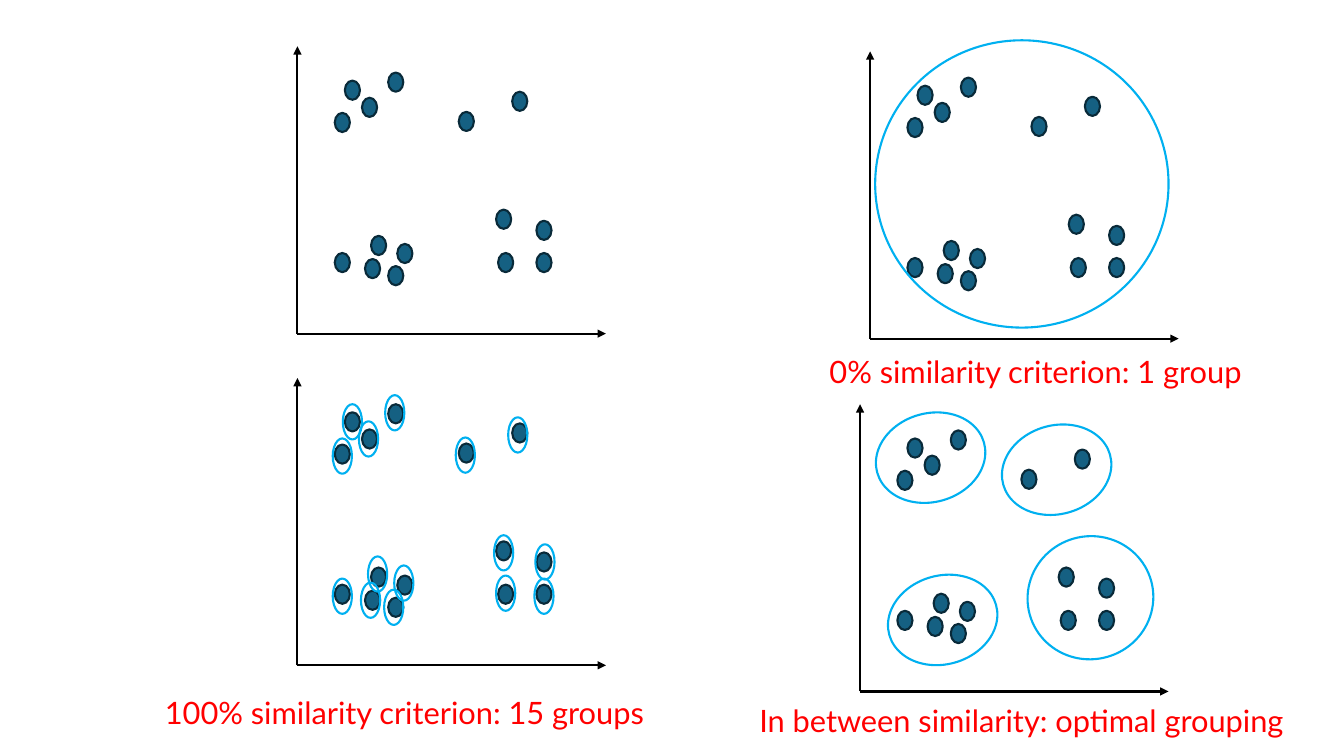
from dataclasses import dataclass

from lxml import etree
from pptx import Presentation
from pptx.dml.color import RGBColor
from pptx.enum.shapes import MSO_CONNECTOR, MSO_SHAPE
from pptx.enum.text import MSO_AUTO_SIZE, PP_ALIGN
from pptx.oxml.ns import qn
from pptx.util import Inches, Pt

STRAIGHT = MSO_CONNECTOR.STRAIGHT
OVAL = MSO_SHAPE.OVAL
CENTER = PP_ALIGN.CENTER
FIT_SHAPE = MSO_AUTO_SIZE.SHAPE_TO_FIT_TEXT

AXIS_WIDTH, AXIS_HEIGHT = 3.06, 2.85
DOT_SIZE = (0.15, 0.19)
RING_SIZE = (0.19, 0.35)
CLUSTER_SIZE = (1.1, 0.88)
CLUSTER_TURN = 344.2

PLOT_CORNERS = [(2.95, 0.46), (8.63, 0.51), (2.95, 3.75), (8.53, 4.01)]
DOT_OFFSETS = [
    (0.47, 0.34), (0.64, 0.51), (0.37, 0.66), (0.73, 1.88), (0.9, 2.18),
    (0.37, 2.05), (2.37, 2.05), (1.97, 1.62), (2.13, 0.45), (1.99, 2.05),
    (0.67, 2.11), (2.37, 1.73), (0.9, 0.26), (1.6, 0.65), (0.99, 1.96),
]
RING_CORNERS = [
    (3.4, 4.01), (3.56, 4.18), (3.82, 3.92), (3.3, 4.35), (4.52, 4.34),
    (5.04, 4.14), (3.65, 5.52), (3.81, 5.85), (3.91, 5.61), (3.58, 5.78),
    (3.3, 5.74), (4.92, 5.71), (4.9, 5.31), (5.3, 5.74), (5.31, 5.4),
]
CLUSTERS = [
    ((8.68, 4.1), CLUSTER_SIZE),
    ((9.93, 4.22), CLUSTER_SIZE),
    ((8.8, 5.71), CLUSTER_SIZE),
    ((10.19, 5.32), (1.25, 1.22)),
]
CAPTIONS = [
    ("0% similarity criterion: 1 group", 7.94, 3.45, 4.66),
    ("100% similarity criterion: 15 groups", 1.22, 6.83, 5.58),
    ("In between similarity: optimal grouping", 7.34, 6.91, 5.58),
]


@dataclass(frozen=True)
class Theme:
    """Colours, type and line weight of the slide."""

    axis: RGBColor = RGBColor(0x00, 0x00, 0x00)
    dot: RGBColor = RGBColor(0x15, 0x60, 0x82)
    dot_edge: RGBColor = RGBColor(0x09, 0x2A, 0x39)
    ring: RGBColor = RGBColor(0x00, 0xB0, 0xF0)
    caption: RGBColor = RGBColor(0xFF, 0x00, 0x00)
    font: str = "Lato"
    caption_size: float = 22
    line_width: float = 1.5


class ClusterSlide:
    """Draws scatter plots, rings and captions on one slide."""

    def __init__(self, page, theme):
        self.shapes = page.shapes
        self.theme = theme

    def arrow(self, shapes, start, end):
        line = shapes.add_connector(STRAIGHT, *map(Inches, start + end))
        line.line.color.rgb = self.theme.axis
        line.line.width = Pt(self.theme.line_width)
        outline = line.line._get_or_add_ln()
        etree.SubElement(outline, qn("a:tailEnd"), type="triangle")
        etree.SubElement(line._element.spPr, qn("a:effectLst"))

    def ellipse(self, shapes, corner, size, edge, fill=None, turn=0):
        oval = shapes.add_shape(OVAL, *map(Inches, corner + size))
        oval.shadow.inherit = False
        oval.rotation = turn
        if fill is None:
            oval.fill.background()
        else:
            oval.fill.solid()
            oval.fill.fore_color.rgb = fill
        oval.line.color.rgb = edge
        oval.line.width = Pt(self.theme.line_width)

    def ring(self, corner, size, turn=0):
        self.ellipse(self.shapes, corner, size, self.theme.ring, turn=turn)

    def plot(self, left, top):
        shapes = self.shapes.add_group_shape().shapes
        bottom = top + AXIS_HEIGHT
        self.arrow(shapes, (left, bottom), (left, top))
        self.arrow(shapes, (left, bottom), (left + AXIS_WIDTH, bottom))
        for across, down in DOT_OFFSETS:
            self.ellipse(shapes, (left + across, top + down), DOT_SIZE,
                         self.theme.dot_edge, self.theme.dot)

    def caption(self, text, left, top, width):
        box = self.shapes.add_textbox(*map(Inches, (left, top, width, 0.47)))
        frame = box.text_frame
        frame.word_wrap = True
        frame.auto_size = FIT_SHAPE
        frame.text = text
        para = frame.paragraphs[0]
        para.alignment = CENTER
        span = para.runs[0]
        span.font.name = self.theme.font
        span.font.size = Pt(self.theme.caption_size)
        span.font.color.rgb = self.theme.caption


def main():
    deck = Presentation()
    deck.slide_width, deck.slide_height = Inches(13.33), Inches(7.5)
    page = deck.slides.add_slide(deck.slide_layouts[6])
    slide = ClusterSlide(page, Theme())

    for corner in PLOT_CORNERS:
        slide.plot(*corner)
    slide.ring((8.68, 0.4), (2.91, 2.85))
    for corner in RING_CORNERS:
        slide.ring(corner, RING_SIZE)
    for corner, size in CLUSTERS:
        slide.ring(corner, size, CLUSTER_TURN)
    for caption in CAPTIONS:
        slide.caption(*caption)

    deck.save("out.pptx")


if __name__ == "__main__":
    main()
